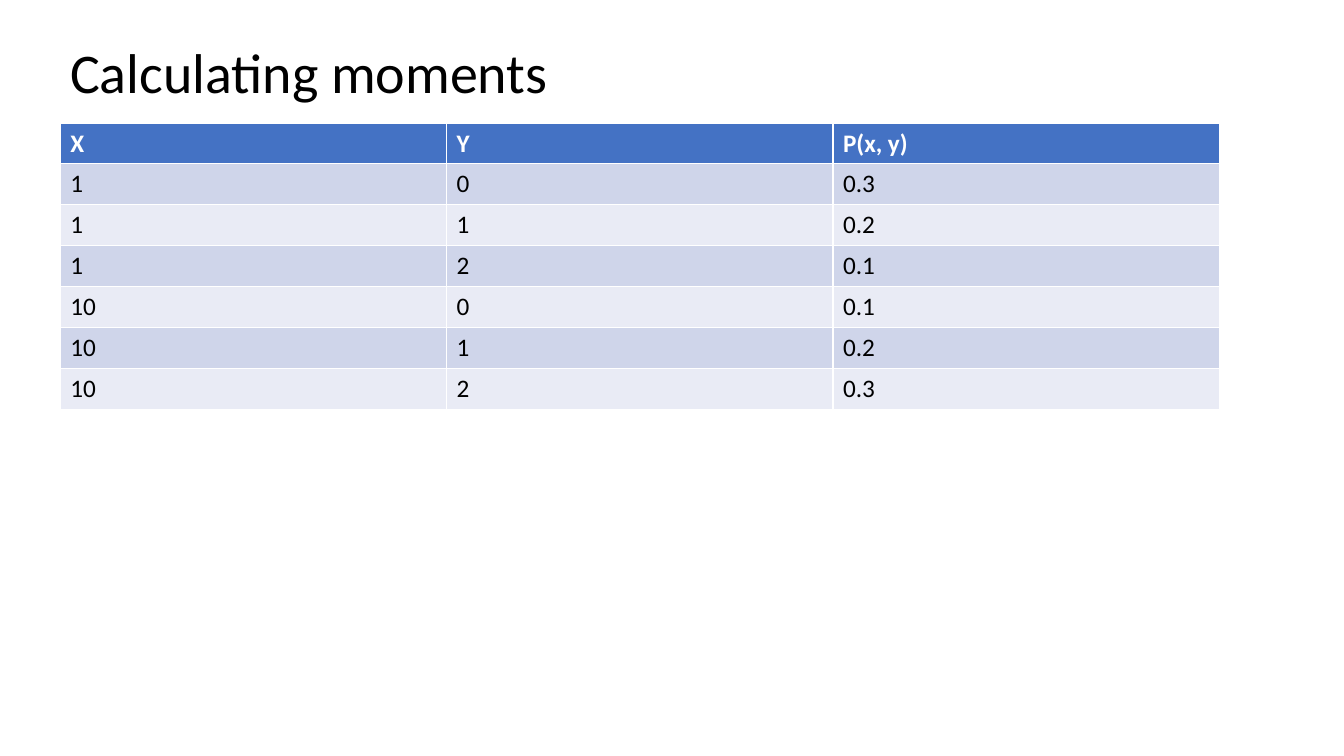
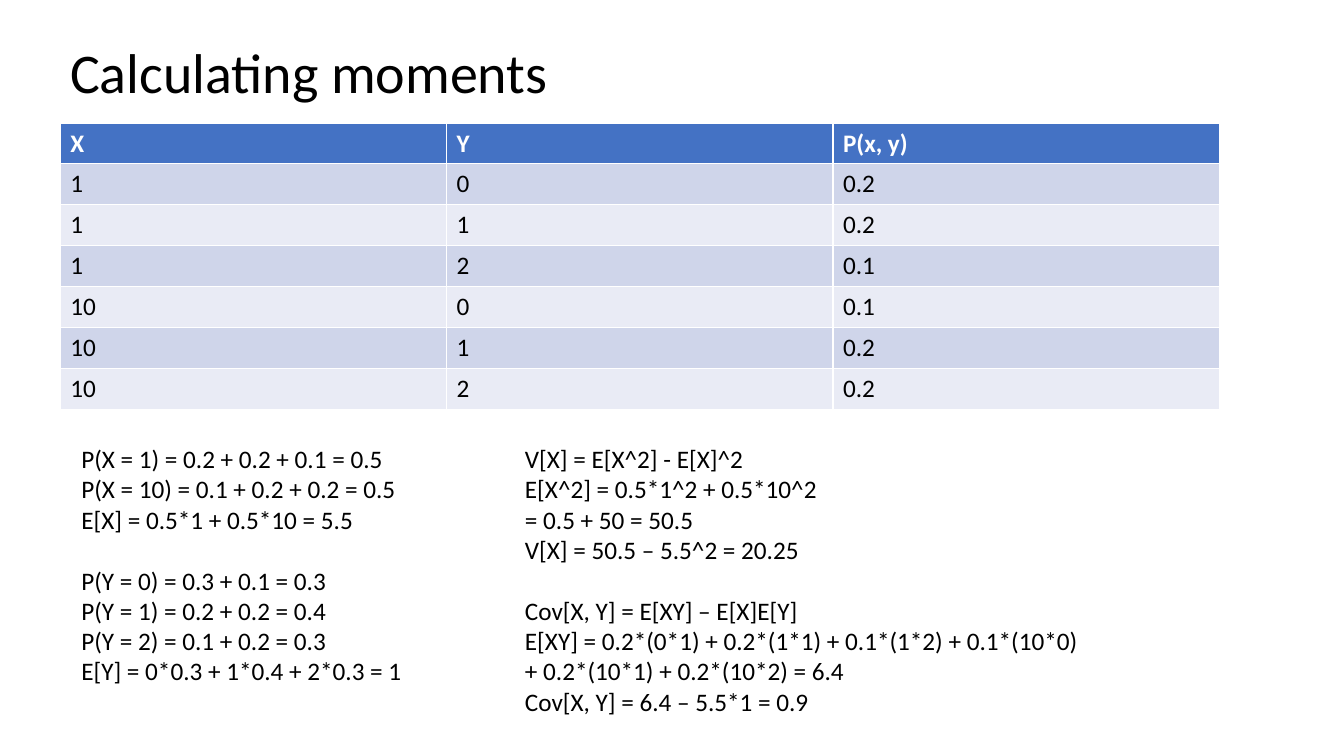
from pptx import Presentation
from pptx.dml.color import RGBColor
from pptx.enum.text import MSO_ANCHOR
from pptx.util import Cm, Pt

# Shared style
FONT = "Calibri"
BLACK, WHITE = "000000", "FFFFFF"
HEADER_FILL = "4472C4"
BAND_FILLS = ("CFD5EA", "E9EBF5")
LEFT, WIDTH = 1.52, 29.21
ROW_HEIGHT = 1.03
NOTES_TOP = 11.05
BODY_SIZE = 18
GROUP_GAP = 22

# Content
TITLE = "Calculating moments"
HEADER = ("X", "Y", "P(x, y)")
OUTCOMES = [(x, y) for x in (1, 10) for y in (0, 1, 2)]
FIRST_PROBABILITIES = (0.3, 0.2, 0.1, 0.1, 0.2, 0.3)
SECOND_PROBABILITIES = (0.2, 0.2, 0.1, 0.1, 0.2, 0.2)
EXPECTATIONS = [
    ["P(X = 1) = 0.2 + 0.2 + 0.1 = 0.5",
     "P(X = 10) = 0.1 + 0.2 + 0.2 = 0.5",
     "E[X] = 0.5*1 + 0.5*10 = 5.5"],
    ["P(Y = 0) = 0.3 + 0.1 = 0.3",
     "P(Y = 1) = 0.2 + 0.2 = 0.4",
     "P(Y = 2) = 0.1 + 0.2 = 0.3",
     "E[Y] = 0*0.3 + 1*0.4 + 2*0.3 = 1"],
]
VARIANCES = [
    ["V[X] = E[X^2] - E[X]^2",
     "E[X^2] = 0.5*1^2 + 0.5*10^2",
     "= 0.5 + 50 = 50.5",
     "V[X] = 50.5 – 5.5^2 = 20.25"],
    ["Cov[X, Y] = E[XY] – E[X]E[Y]",
     "E[XY] = 0.2*(0*1) + 0.2*(1*1) + 0.1*(1*2) + 0.1*(10*0) "
     "+ 0.2*(10*1) + 0.2*(10*2) = 6.4",
     "Cov[X, Y] = 6.4 – 5.5*1 = 0.9"],
]


def color(value):
    return RGBColor.from_string(value)


def write(para, text, size=BODY_SIZE, ink=BLACK, bold=False):
    para.text = text
    font = para.font
    font.name, font.size, font.bold = FONT, Pt(size), bold
    font.color.rgb = color(ink)


def add_box(page, left, top, width, height):
    box = page.shapes.add_textbox(Cm(left), Cm(top), Cm(width), Cm(height))
    box.text_frame.word_wrap = True
    return box.text_frame


def add_title(page):
    frame = add_box(page, LEFT, 1.02, WIDTH, 1.75)
    frame.vertical_anchor = MSO_ANCHOR.MIDDLE
    para = frame.paragraphs[0]
    write(para, TITLE, size=40)
    para.line_spacing = 0.9


def add_distribution(page, probabilities):
    rows = [HEADER] + [(x, y, p) for (x, y), p in zip(OUTCOMES, probabilities)]
    table = page.shapes.add_table(
        len(rows), len(HEADER), Cm(LEFT), Cm(3.1), Cm(WIDTH),
        Cm(ROW_HEIGHT * len(rows))).table
    for row_index, values in enumerate(rows):
        is_header = row_index == 0
        fill = HEADER_FILL if is_header else BAND_FILLS[(row_index - 1) % 2]
        for column_index, value in enumerate(values):
            cell = table.cell(row_index, column_index)
            cell.fill.solid()
            cell.fill.fore_color.rgb = color(fill)
            write(cell.text_frame.paragraphs[0], str(value),
                  ink=WHITE if is_header else BLACK, bold=is_header)


def add_workings(page, left, width, height, groups):
    frame = add_box(page, left, NOTES_TOP, width, height)
    para = frame.paragraphs[0]
    for group_index, lines in enumerate(groups):
        for line_index, line in enumerate(lines):
            if group_index or line_index:
                para = frame.add_paragraph()
            write(para, line)
            # A gap of one line opens each later group
            if group_index and line_index == 0:
                para.space_before = Pt(GROUP_GAP)


def add_page(deck, probabilities):
    page = deck.slides.add_slide(deck.slide_layouts[6])
    add_title(page)
    add_distribution(page, probabilities)
    return page


def main():
    deck = Presentation()
    deck.slide_width, deck.slide_height = Cm(33.87), Cm(19.05)

    # Exercise
    add_page(deck, FIRST_PROBABILITIES)

    # Worked solution
    page = add_page(deck, SECOND_PROBABILITIES)
    add_workings(page, 1.8, 10.74, 6.4, EXPECTATIONS)
    add_workings(page, 12.98, 14.81, 7.19, VARIANCES)

    deck.save("out.pptx")


if __name__ == "__main__":
    main()
